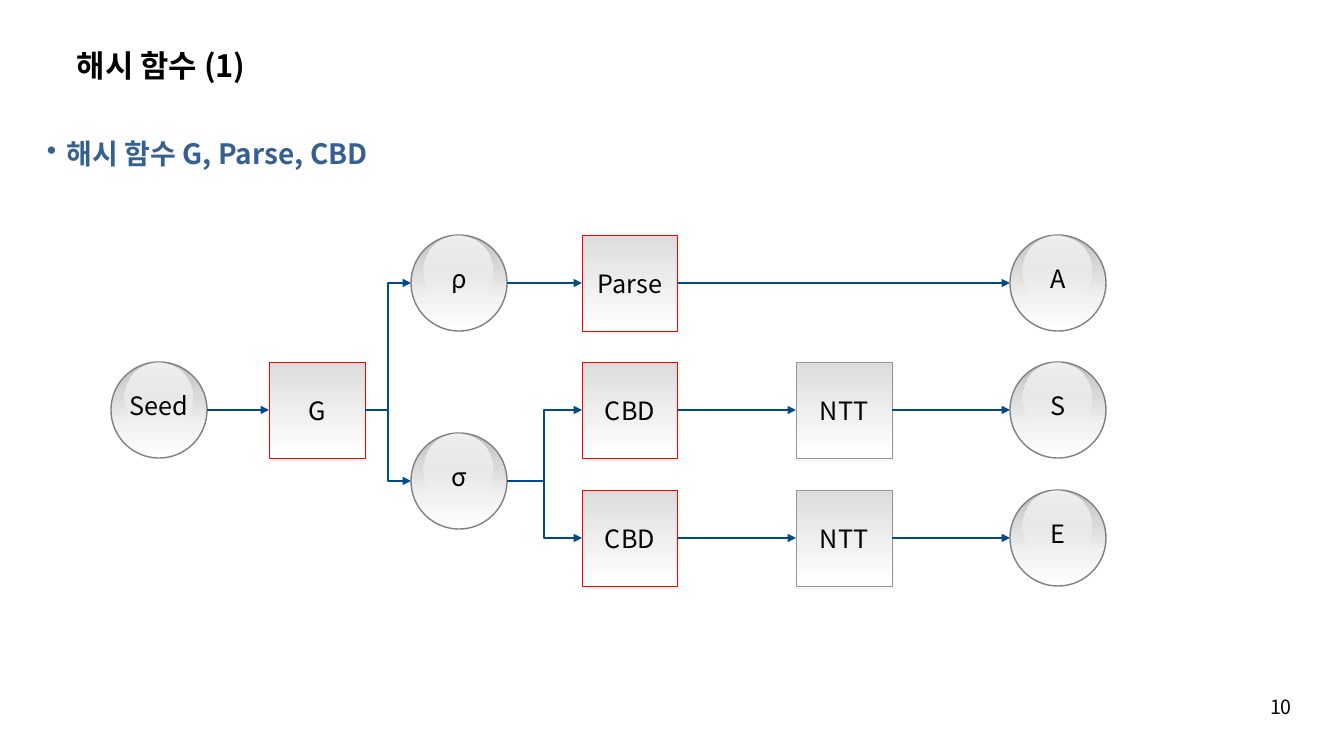
from dataclasses import dataclass

from lxml import etree
from pptx import Presentation
from pptx.dml.color import RGBColor
from pptx.enum.shapes import MSO_CONNECTOR, MSO_SHAPE
from pptx.enum.text import MSO_ANCHOR, PP_ALIGN
from pptx.oxml.ns import qn
from pptx.util import Pt

ELBOW, STRAIGHT = MSO_CONNECTOR.ELBOW, MSO_CONNECTOR.STRAIGHT
OVAL, RECTANGLE = MSO_SHAPE.OVAL, MSO_SHAPE.RECTANGLE
TOP, MIDDLE = MSO_ANCHOR.TOP, MSO_ANCHOR.MIDDLE
LEFT, CENTER = PP_ALIGN.LEFT, PP_ALIGN.CENTER
LEFT_SIDE, RIGHT_SIDE = 1, 3
EMU_PER_PX = 914400 / 100.8
NODE = 96


@dataclass(frozen=True)
class Theme:
    font: str = "Noto Sans CJK KR"
    ink: str = "000000"
    heading: str = "376092"
    arrow: str = "004B88"
    hash_line: str = "FF0000"
    plain_line: str = "969696"
    ball_line: str = "808080"
    shadow: str = "EEECE1"
    ball_stops: tuple = ((0, "BFBFBF", 100), (34, "D9D9D9", 100), (67, "F2F2F2", 100), (100, "FFFFFF", 100))
    gloss_stops: tuple = ((0, "FFFFFF", 80), (100, "FFFFFF", 0))
    box_stops: tuple = ((0, "DDDDDD", 100), (100, "FFFFFF", 100))
    title_size: int = 22
    heading_size: int = 20
    label_size: int = 18
    number_size: int = 14


def px(length):
    return round(length * EMU_PER_PX)


def add_element(parent, tag, **attributes):
    return etree.SubElement(parent, qn(tag), {name: str(value) for name, value in attributes.items()})


def add_color(parent, color, opacity):
    element = add_element(parent, "a:srgbClr", val=color)
    if opacity < 100:
        add_element(element, "a:alpha", val=opacity * 1000)


class Page:
    def __init__(self, deck, theme):
        self.theme = theme
        self.shapes = deck.slides.add_slide(deck.slide_layouts[6]).shapes

    def set_text(self, frame, words, size, color=None, bold=False, align=CENTER, anchor=MIDDLE, bullet=False):
        frame.word_wrap = True
        frame.vertical_anchor = anchor
        para = frame.paragraphs[0]
        para.text = words
        para.alignment = align
        if bullet:
            properties = para._p.get_or_add_pPr()
            properties.set("marL", str(px(20)))
            properties.set("indent", str(px(-20)))
            add_element(properties, "a:buChar", char="•")
        font = para.font
        font.size, font.bold, font.name = Pt(size), bold, self.theme.font
        font.color.rgb = RGBColor.from_string(color or self.theme.ink)
        add_element(para._p.pPr.find(qn("a:defRPr")), "a:ea", typeface=self.theme.font)

    def text(self, left, top, width, height, words, size, **style):
        box = self.shapes.add_textbox(px(left), px(top), px(width), px(height))
        self.set_text(box.text_frame, words, size, **style)
        return box

    def gradient_shape(self, shapes, kind, left, top, width, height, stops, line=None, weight=1.0):
        """Add a shape shaded from top to bottom, outlined only if a line colour is given."""
        shape = shapes.add_shape(kind, px(left), px(top), px(width), px(height))
        shape.shadow.inherit = False
        shape.fill.gradient()
        shape.fill.gradient_angle = 270
        stop_list = shape._element.spPr.find(qn("a:gradFill")).find(qn("a:gsLst"))
        for stop in list(stop_list):
            stop_list.remove(stop)
        for position, color, opacity in stops:
            add_color(add_element(stop_list, "a:gs", pos=position * 1000), color, opacity)
        if line:
            shape.line.color.rgb = RGBColor.from_string(line)
            shape.line.width = Pt(weight)
        else:
            shape.line.fill.background()
        return shape

    def ball(self, left, top):
        group = self.shapes.add_group_shape().shapes
        ball = self.gradient_shape(group, OVAL, left, top, NODE, NODE, self.theme.ball_stops, self.theme.ball_line)
        self.gradient_shape(group, OVAL, left + 13, top + 1, 68, 70, self.theme.gloss_stops)
        return ball

    def ball_label(self, left, top, words):
        frame = self.text(left + 5, top + 23, NODE - 10, 40, words, self.theme.label_size).text_frame
        frame.margin_top = frame.margin_bottom = 0

    def box(self, left, top, words, line):
        box = self.gradient_shape(self.shapes, RECTANGLE, left, top, NODE, NODE, self.theme.box_stops, line, 0.63)
        effects = box._element.spPr.find(qn("a:effectLst"))
        shadow = add_element(effects, "a:outerShdw", blurRad=0, dist=Pt(2.2), dir=63 * 60000, rotWithShape=0)
        add_color(shadow, self.theme.shadow, 50)
        frame = box.text_frame
        self.set_text(frame, words, self.theme.label_size)
        frame.margin_left = frame.margin_right = 0
        return box

    def arrow(self, source, target):
        """Join the right side of one node to the left side of another."""
        start_y = source.top + source.height // 2
        end_y = target.top + target.height // 2
        kind = STRAIGHT if start_y == end_y else ELBOW
        arrow = self.shapes.add_connector(kind, source.left + source.width, start_y, target.left, end_y)
        if source.auto_shape_type == RECTANGLE:
            arrow.begin_connect(source, RIGHT_SIDE)
        if target.auto_shape_type == RECTANGLE:
            arrow.end_connect(target, LEFT_SIDE)
        arrow.line.color.rgb = RGBColor.from_string(self.theme.arrow)
        arrow.line.width = Pt(1.5)
        add_element(arrow.line._get_or_add_ln(), "a:tailEnd", type="triangle")
        add_element(arrow._element.spPr, "a:effectLst")


def main():
    theme = Theme()
    deck = Presentation()
    deck.slide_width, deck.slide_height = px(1344), px(756)
    page = Page(deck, theme)
    page.text(67, 30, 944, 70, "해시 함수 (1)", theme.title_size, bold=True, align=LEFT)
    page.text(37, 132, 1270, 547, "해시 함수 G, Parse, CBD", theme.heading_size,
              color=theme.heading, bold=True, align=LEFT, anchor=TOP, bullet=True)

    seed_x, g_x, split_x, hash_x, ntt_x, result_x = 111, 269, 411, 582, 796, 1010
    matrix_y, secret_y, sigma_y, error_y = 235, 362, 433, 490
    balls = {
        "Seed": (seed_x, secret_y),
        "A": (result_x, matrix_y),
        "S": (result_x, secret_y),
        "E": (result_x, error_y),
        "ρ": (split_x, matrix_y),
        "σ": (split_x, sigma_y),
    }
    boxes = {
        "G": (g_x, secret_y, "G", theme.hash_line),
        "Parse": (hash_x, matrix_y, "Parse", theme.hash_line),
        "CBD S": (hash_x, secret_y, "CBD", theme.hash_line),
        "CBD E": (hash_x, error_y, "CBD", theme.hash_line),
        "NTT S": (ntt_x, secret_y, "NTT", theme.plain_line),
        "NTT E": (ntt_x, error_y, "NTT", theme.plain_line),
    }
    nodes = {name: page.ball(*place) for name, place in balls.items()}
    nodes.update({name: page.box(*details) for name, details in boxes.items()})

    flows = (
        ("Seed", "G"), ("G", "σ"), ("G", "ρ"), ("σ", "CBD E"), ("σ", "CBD S"),
        ("ρ", "Parse"), ("Parse", "A"), ("CBD S", "NTT S"), ("NTT S", "S"),
        ("CBD E", "NTT E"), ("NTT E", "E"),
    )
    for source, target in flows:
        page.arrow(nodes[source], nodes[target])
    for name, place in balls.items():
        page.ball_label(*place, name)
    page.text(1232, 690, 98, 52, "10", theme.number_size, anchor=TOP)
    deck.save("out.pptx")


if __name__ == "__main__":
    main()
